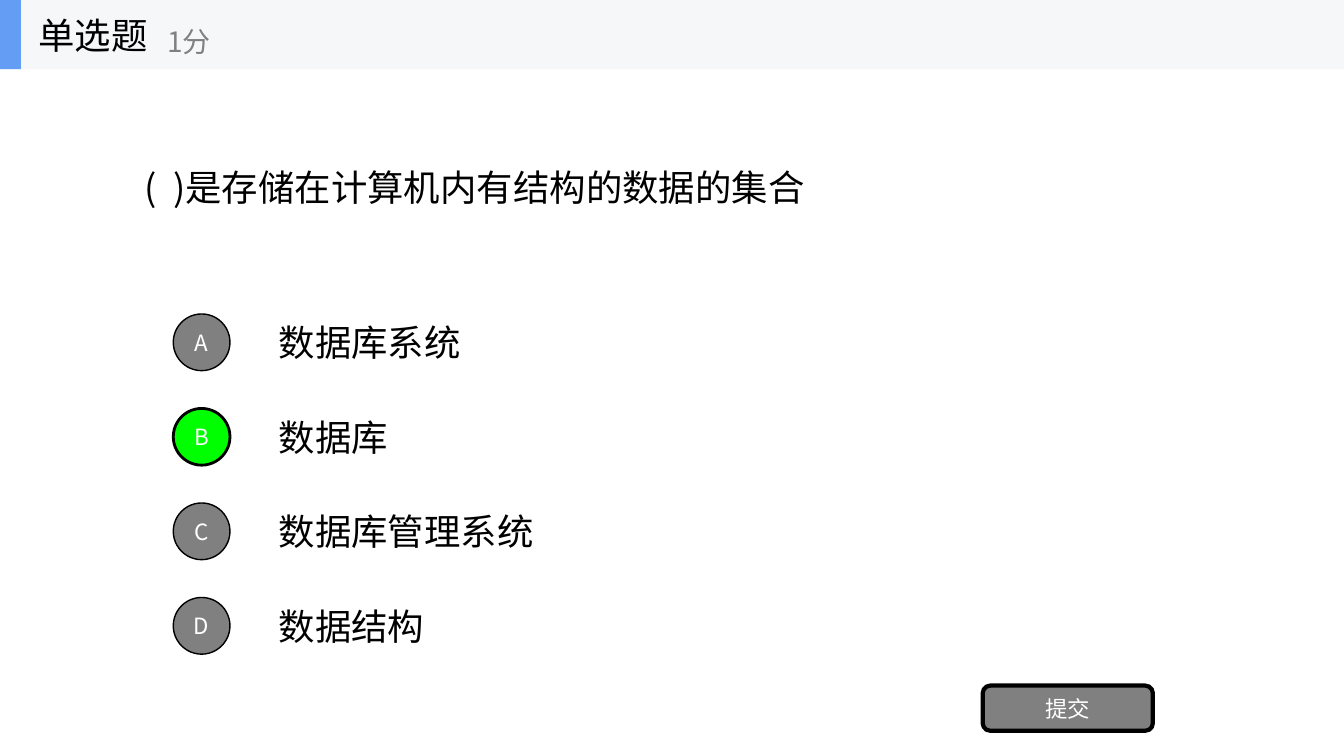
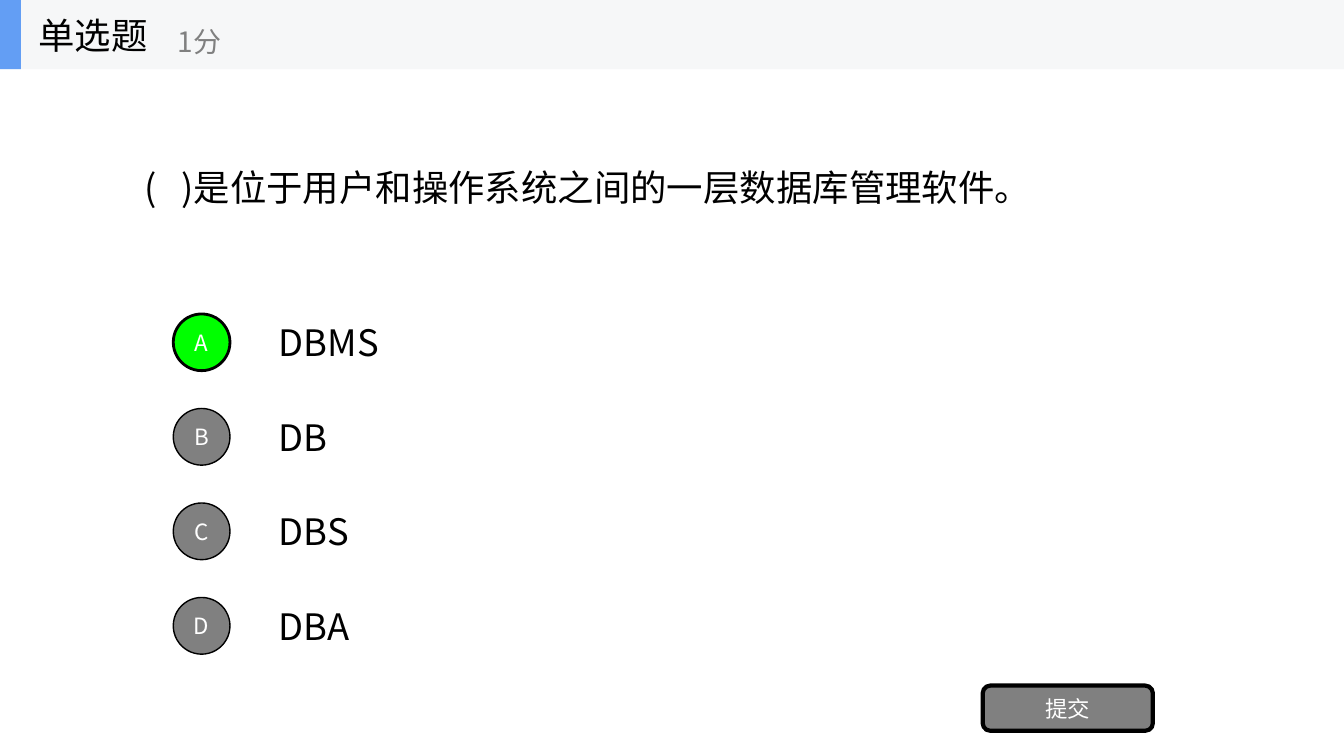
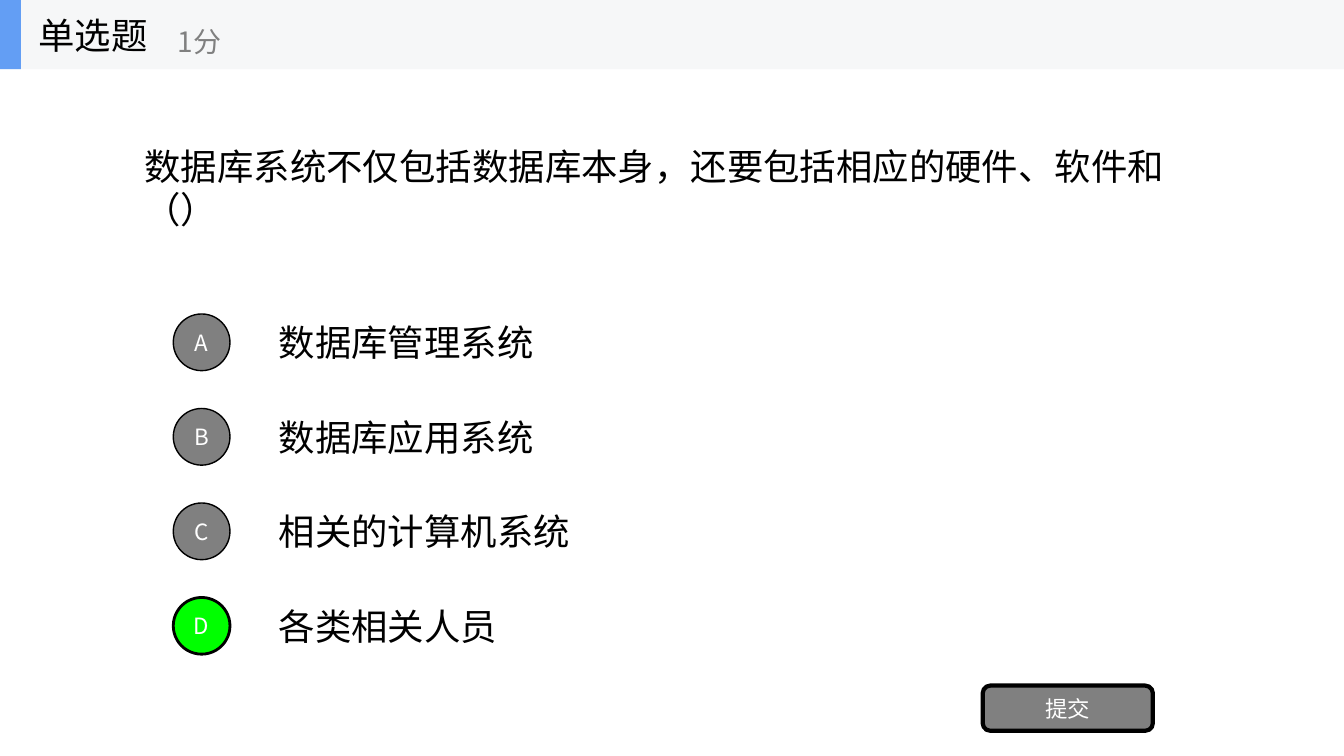
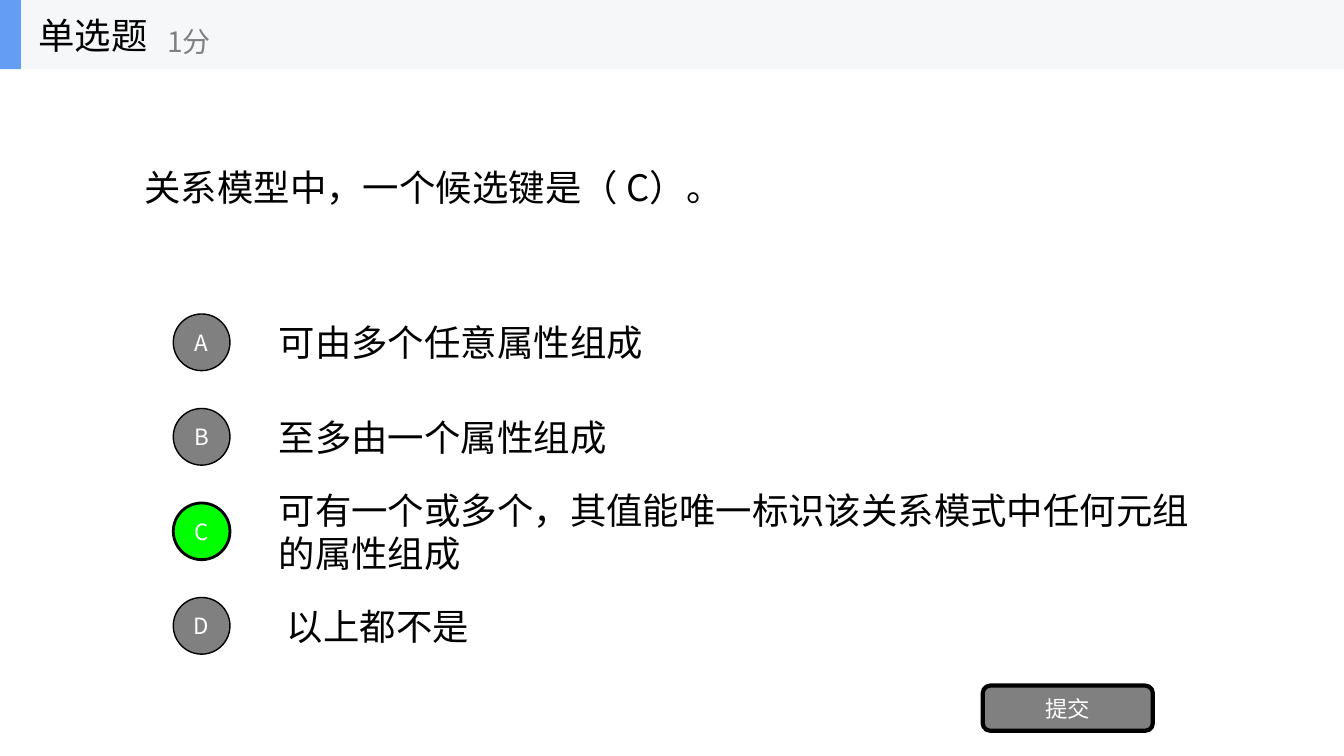
from lxml import etree
from pptx import Presentation
from pptx.dml.color import RGBColor
from pptx.enum.shapes import MSO_SHAPE
from pptx.enum.text import MSO_ANCHOR, MSO_AUTO_SIZE, PP_ALIGN
from pptx.oxml.ns import qn
from pptx.util import Pt

PX = 9525  # 96 px to the inch
FONT = "Noto Sans CJK SC"
BLACK = RGBColor(0x00, 0x00, 0x00)
WHITE = RGBColor(0xFF, 0xFF, 0xFF)
GRAY = RGBColor(0x80, 0x80, 0x80)
GREEN = RGBColor(0x00, 0xFF, 0x00)
BAND = RGBColor(0xF6, 0xF7, 0xF8)
ACCENT = RGBColor(0x63, 0x9E, 0xF4)
RECTANGLE, OVAL, ROUNDED = MSO_SHAPE.RECTANGLE, MSO_SHAPE.OVAL, MSO_SHAPE.ROUNDED_RECTANGLE
LEFT, CENTER = PP_ALIGN.LEFT, PP_ALIGN.CENTER
MIDDLE, NO_FIT = MSO_ANCHOR.MIDDLE, MSO_AUTO_SIZE.NONE

SLIDE_WIDTH, SLIDE_HEIGHT = 1280, 720
BAND_HEIGHT = 66
OPTION_TOP, OPTION_PITCH, OPTION_HEIGHT = 292, 90, 68
CIRCLE = 54

# Score position, question, options, correct letter
QUESTIONS = [
    (150, "(  )是存储在计算机内有结构的数据的集合",
     ["数据库系统", "数据库", "数据库管理系统", "数据结构"], "B"),
    (160, "(   )是位于用户和操作系统之间的一层数据库管理软件。",
     ["DBMS", "DB", "DBS", "DBA"], "A"),
    (160, "数据库系统不仅包括数据库本身，还要包括相应的硬件、软件和（）",
     ["数据库管理系统", "数据库应用系统", "相关的计算机系统", "各类相关人员"], "D"),
    (150, "关系模型中，一个候选键是（ C）。",
     ["可由多个任意属性组成", "至多由一个属性组成",
      "可有一个或多个，其值能唯一标识该关系模式中任何元组的属性组成", " 以上都不是"], "C"),
]


def write(shape, box, text, size=26, color=BLACK, align=LEFT):
    """Place a shape and fill it with one formatted paragraph."""
    shape.left, shape.top, shape.width, shape.height = [length * PX for length in box]
    frame = shape.text_frame
    frame.text = text
    frame.word_wrap = True
    frame.auto_size = NO_FIT
    frame.vertical_anchor = MIDDLE
    paragraph = frame.paragraphs[0]
    paragraph.alignment = align
    paragraph.space_before = Pt(0)
    font = paragraph.runs[0].font
    font.name, font.size, font.color.rgb = FONT, Pt(size), color
    etree.SubElement(font._element, qn("a:ea"), typeface=FONT)


def add_block(slide, kind, box, fill, line_width=0):
    """Add a filled preset shape, outlined in black if a width is given."""
    shape = slide.shapes.add_shape(kind, *[length * PX for length in box])
    shape.shadow.inherit = False
    shape.fill.solid()
    shape.fill.fore_color.rgb = fill
    if line_width:
        shape.line.color.rgb = BLACK
        shape.line.width = Pt(line_width)
    else:
        shape.line.fill.background()
    return shape


presentation = Presentation()
presentation.slide_width = SLIDE_WIDTH * PX
presentation.slide_height = SLIDE_HEIGHT * PX
layout = presentation.slide_layouts[1]

for score_left, question, options, correct in QUESTIONS:
    slide = presentation.slides.add_slide(layout)
    title, body = slide.placeholders

    # Header: band and accent behind the title, score beside it
    band = add_block(slide, RECTANGLE, (0, 0, SLIDE_WIDTH, BAND_HEIGHT), BAND)
    accent = add_block(slide, RECTANGLE, (0, 0, 20, BAND_HEIGHT), ACCENT)
    for shape in (accent, band):
        slide.shapes.element.insert(2, shape.element)
    write(title, (27, 0, 200, BAND_HEIGHT), "单选题")
    score = slide.shapes.add_textbox(0, 0, 0, 0)
    write(score, (score_left, 12, 240, 54), "1分", 20, GRAY)

    # Question, without the template's bullet
    write(body, (128, BAND_HEIGHT, 1024, 225), question)
    properties = body.text_frame.paragraphs[0]._p.get_or_add_pPr()
    properties.set("marL", "0")
    properties.set("indent", "0")
    etree.SubElement(properties, qn("a:buNone"))

    # Options, each with its letter in a circle
    for row, (letter, option) in enumerate(zip("ABCD", options)):
        top = OPTION_TOP + row * OPTION_PITCH
        write(slide.shapes.add_textbox(0, 0, 0, 0), (256, top, 896, OPTION_HEIGHT), option)
        fill, line_width = (GREEN, 2) if letter == correct else (GRAY, 1)
        box = (165, top + (OPTION_HEIGHT - CIRCLE) // 2, CIRCLE, CIRCLE)
        circle = add_block(slide, OVAL, box, fill, line_width)
        write(circle, box, letter, 16, WHITE, CENTER)

    # Submit button
    box = (936, 653, 162, 43)
    button = add_block(slide, ROUNDED, box, GRAY, 3)
    write(button, box, "提交", 16, WHITE, CENTER)

presentation.save("out.pptx")
